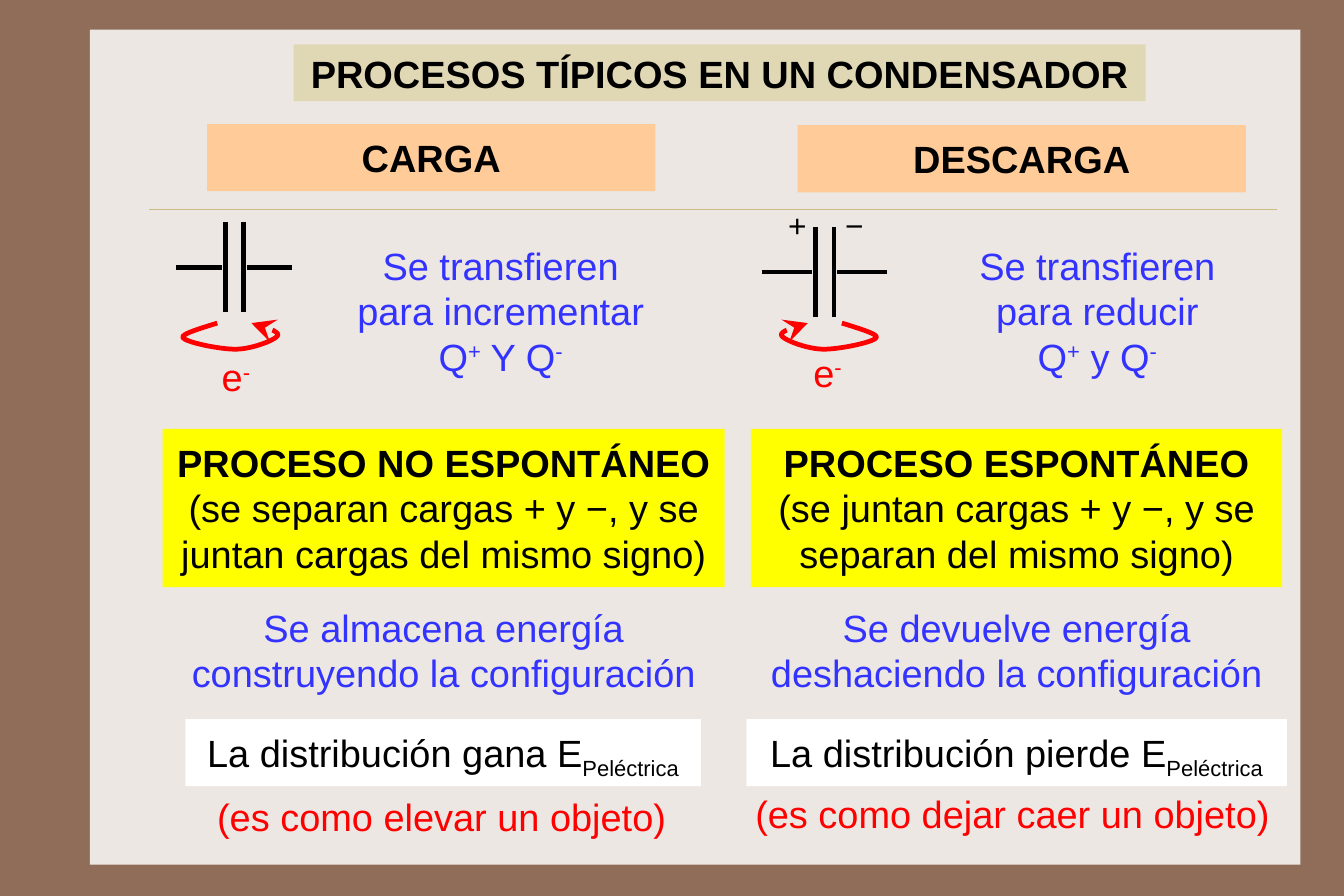
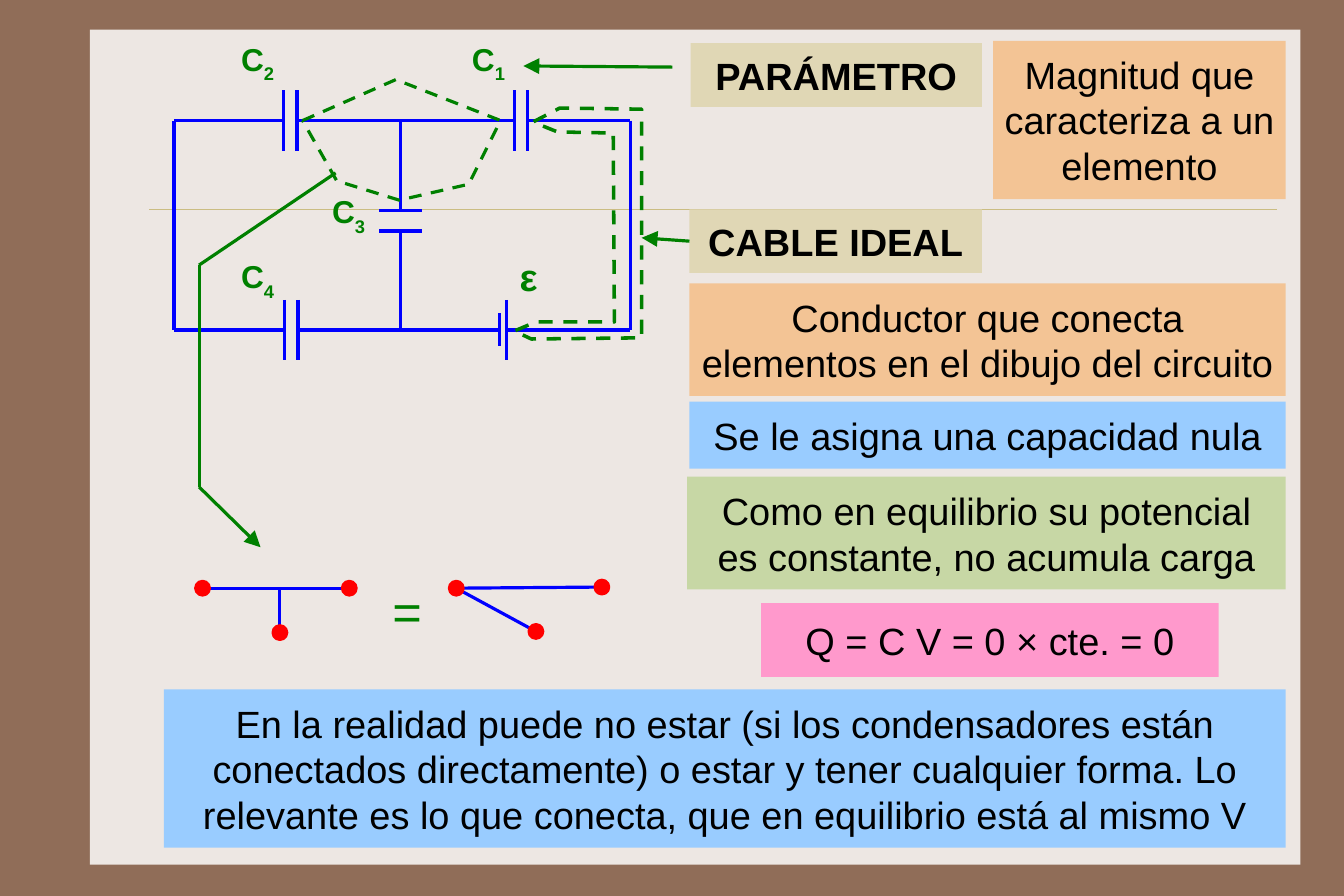
from dataclasses import dataclass

import lxml.etree
import pptx
import pptx.dml.color
import pptx.enum.dml
import pptx.enum.shapes
import pptx.enum.text
import pptx.oxml.ns
import pptx.util

# The slide is a grid of square cells; every length below counts columns or rows.
CELL = pptx.util.Inches(0.1)
SLIDE_WIDTH, SLIDE_HEIGHT = pptx.util.Pt(850.5), pptx.util.Pt(567)
SHAPE = pptx.enum.shapes.MSO_SHAPE
ALIGN = pptx.enum.text.PP_ALIGN
ANCHOR = pptx.enum.text.MSO_ANCHOR


@dataclass(frozen=True)
class Theme:
    font: str = "Arial"
    size: int = 24
    label_size: int = 20
    equals_size: int = 32
    frame: str = "906D58"
    panel: str = "EDE7E3"
    rule: str = "CBBD83"
    band: str = "E0D7B5"
    header: str = "FFCC99"
    yellow: str = "FFFF00"
    white: str = "FFFFFF"
    orange: str = "F3C495"
    sky: str = "99CCFF"
    sage: str = "C7D7A5"
    pink: str = "FF99CC"
    ink: str = "000000"
    violet: str = "3333FF"
    red: str = "FF0000"
    wire: str = "0000FF"
    green: str = "008000"


THEME = Theme()


@dataclass(frozen=True)
class Process:
    """One column of the first slide; spans are (left column, width)."""
    name: str
    header: tuple
    header_top: float
    transfer: tuple
    transfer_verb: str
    conjunction: str
    kind: str
    kind_detail: str
    kind_span: tuple
    energy: str
    energy_span: tuple
    balance: str
    balance_span: tuple
    analogy: str
    analogy_box: tuple
    capacitor: tuple
    lead: float
    electron: tuple
    direction: int


PROCESSES = (
    Process("CARGA", (18.2, 39.4), 10.9, (28.4, 31.2), "para incrementar", "Y",
            "PROCESO NO ESPONTÁNEO",
            "(se separan cargas + y −, y se juntan cargas del mismo signo)", (14.3, 49.4),
            "Se almacena energía construyendo la configuración", (15, 48),
            "La distribución gana E", (16.3, 45.3),
            "(es como elevar un objeto)", (18.1, 69.3, 41.9, 5),
            (20.6, 23.5), 5.1, (18.5, 30.2, 4.1, 5.1), 1),
    Process("DESCARGA", (70.1, 39.4), 11, (78.6, 35.7), "para reducir", "y",
            "PROCESO ESPONTÁNEO",
            "(se juntan cargas + y −, y se separan del mismo signo)", (66, 46.7),
            "Se devuelve energía deshaciendo la configuración", (65.6, 47.5),
            "La distribución pierde E", (65.6, 47.5),
            "(es como dejar caer un objeto)", (65.4, 69, 47.7, 5),
            (72.5, 23.9), 5.5, (70.5, 29.8, 4.1, 5.1), -1),
)


# Basic measures and styles
def cells(*counts):
    return [pptx.util.Emu(round(count * CELL)) for count in counts]


def rgb(value):
    return pptx.dml.color.RGBColor.from_string(value)


def style_line(shape, color, width, dashed=False, arrow=None):
    shape.line.color.rgb = rgb(color)
    shape.line.width = pptx.util.Pt(width)
    if dashed:
        shape.line.dash_style = pptx.enum.dml.MSO_LINE.DASH
    if arrow:
        outline = shape.element.spPr.get_or_add_ln()
        lxml.etree.SubElement(outline, pptx.oxml.ns.qn("a:tailEnd"),
                              type=arrow, w="lg", len="lg")


# Text
def write(shape, paragraphs, color=THEME.ink, size=THEME.size, bold=False, align=ALIGN.CENTER,
          anchor=ANCHOR.TOP, inset=(1, 0.9), wrap=True):
    """Each paragraph is a string or a list of strings and (text, baseline %) pairs.

    bold is True, False, or "first" for the first paragraph only.
    """
    frame = shape.text_frame
    frame.auto_size = pptx.enum.text.MSO_AUTO_SIZE.NONE
    frame.word_wrap = wrap
    frame.vertical_anchor = anchor
    frame.margin_left = frame.margin_right = cells(inset[0])[0]
    frame.margin_top = frame.margin_bottom = cells(inset[1])[0]
    for index, content in enumerate(paragraphs):
        paragraph = frame.add_paragraph() if index else frame.paragraphs[0]
        paragraph.alignment = align
        font = paragraph.font
        font.name, font.size = THEME.font, pptx.util.Pt(size)
        font.bold = index == 0 if bold == "first" else bold
        font.color.rgb = rgb(color)
        for piece in [content] if isinstance(content, str) else content:
            text, baseline = (piece, 0) if isinstance(piece, str) else piece
            run = paragraph.add_run()
            run.text = text
            if baseline:
                run._r.get_or_add_rPr().set("baseline", str(baseline * 1000))


def add_label(slide, box, paragraphs, **style):
    write(slide.shapes.add_textbox(*cells(*box)), paragraphs, **style)


def add_block(slide, box, fill, paragraphs=(), kind=SHAPE.RECTANGLE, **style):
    block = slide.shapes.add_shape(kind, *cells(*box))
    block.shadow.inherit = False
    block.fill.solid()
    block.fill.fore_color.rgb = rgb(fill)
    block.line.fill.background()
    if paragraphs:
        write(block, paragraphs, **style)
    return block


def add_title(slide, box, text, **style):
    title = slide.shapes.title
    title.left, title.top, title.width, title.height = cells(*box)
    title.fill.solid()
    title.fill.fore_color.rgb = rgb(THEME.band)
    write(title, [text], bold=True, anchor=ANCHOR.MIDDLE, **style)


# Lines
def add_line(slide, start, end, color=THEME.wire, width=2, arrow=None):
    line = slide.shapes.add_connector(
        pptx.enum.shapes.MSO_CONNECTOR.STRAIGHT, *cells(*start, *end))
    style_line(line, color, width, arrow=arrow)
    lxml.etree.SubElement(line.element.spPr, pptx.oxml.ns.qn("a:effectLst"))
    return line


def add_outline(slide, points, color, width, close=False, dashed=False, arrow=None):
    first, *rest = [cells(*point) for point in points]
    builder = slide.shapes.build_freeform(*first, scale=1.0)
    builder.add_line_segments(rest, close=close)
    outline = builder.convert_to_shape()
    outline.shadow.inherit = False
    outline.fill.background()
    style_line(outline, color, width, dashed, arrow)


def add_plates(slide, center, gap, lengths, upright=True, **style):
    x, y = center
    for side, length in zip((-0.5, 0.5), lengths):
        shift, half = side * gap, length / 2
        if upright:
            add_line(slide, (x + shift, y - half), (x + shift, y + half), **style)
        else:
            add_line(slide, (x - half, y + shift), (x + half, y + shift), **style)


def bezier(start, segments, steps=12):
    points = [start]
    for first, second, end in segments:
        for step in range(1, steps + 1):
            t = step / steps
            weights = ((1 - t) ** 3, 3 * t * (1 - t) ** 2, 3 * t * t * (1 - t), t ** 3)
            points.append(tuple(
                sum(w * p[axis] for w, p in zip(weights, (start, first, second, end)))
                for axis in (0, 1)))
        start = end
    return points


def add_electron_arrow(slide, center, direction, top=28.4):
    curve = bezier((-1.5, 0), (
        ((-3.1, 0.5), (-4.8, 1), (-4.5, 1.3)),
        ((-4.2, 1.7), (-1.3, 2.3), (0.1, 2.3)),
        ((1.5, 2.3), (3.6, 1.5), (3.8, 1.1)),
        ((4, 0.7), (2.7, 0.4), (1.5, 0))))
    add_outline(slide, [(center + direction * x, top + y) for x, y in curve],
                THEME.red, 3, arrow="stealth")


# Frame shared by both slides
def decorate_master(master, slide):
    master.background.fill.solid()
    master.background.fill.fore_color.rgb = rgb(THEME.frame)
    panel = add_block(slide, (7.9, 2.6, 106.4, 73.4), THEME.panel)
    rule = add_line(slide, (13.1, 18.4), (112.2, 18.4), THEME.rule, 0.25)
    for position, part in enumerate((panel, rule), start=2):
        master.shapes.element.insert(position, part.element)


# Slide 1: charge and discharge side by side
def add_process(slide, process):
    def row(span, top, height):
        return span[0], top, span[1], height

    add_block(slide, row(process.header, process.header_top, 5.9), THEME.header,
              [process.name], bold=True)
    add_label(slide, row(process.transfer, 20.4, 13.9),
              ["Se transfieren", process.transfer_verb,
               ["Q", ("+", 30), f" {process.conjunction} Q", ("-", 30)]], color=THEME.violet)
    add_block(slide, row(process.kind_span, 37.7, 13.9), THEME.yellow,
              [process.kind, process.kind_detail], bold="first")
    add_label(slide, row(process.energy_span, 52.2, 9.9), [process.energy], color=THEME.violet)
    add_block(slide, row(process.balance_span, 63.2, 5.9), THEME.white,
              [[process.balance, ("Peléctrica", -25)]])
    add_label(slide, process.analogy_box, [process.analogy], color=THEME.red,
              align=ALIGN.LEFT, inset=(1, 0.5), wrap=False)

    # Capacitor with its leads and the electron flow
    x, y = process.capacitor
    ink = dict(color=THEME.ink, width=3)
    add_plates(slide, (x, y), 1.6, (7.9, 7.9), **ink)
    for side in (-1, 1):
        add_line(slide, (x + side * process.lead, y), (x + side * 1.1, y), **ink)
    add_electron_arrow(slide, x, process.direction)
    add_label(slide, process.electron, [["e", ("-", 30)]], color=THEME.red,
              align=ALIGN.LEFT, wrap=False)


def build_processes(slide):
    add_title(slide, (25.8, 3.9, 74.9, 5), "PROCESOS TÍPICOS EN UN CONDENSADOR",
              inset=(1, 0.5))
    for process in PROCESSES:
        add_process(slide, process)
    for left, sign in ((68.3, "+"), (73.3, "−")):
        add_label(slide, (left, 17.2, 3.6, 5.1), [sign], size=THEME.label_size,
                  align=ALIGN.LEFT, wrap=False)


# Slide 2: circuit with its vocabulary
def add_circuit(slide):
    left, middle, right, top, bottom = 15.3, 35.2, 55.4, 10.6, 29
    for start, end in (
            ((left, top), (24.9, top)), ((26.1, top), (45.2, top)), ((46.4, top), (right, top)),
            ((left, bottom), (25, bottom)), ((26.2, bottom), (43.9, bottom)),
            ((44.5, bottom), (right, bottom)),
            ((left, top), (left, bottom)), ((right, top), (right, bottom)),
            ((middle, top), (middle, 18.5)), ((middle, 20.3), (middle, bottom))):
        add_line(slide, start, end)
    for center in ((25.5, top), (45.8, top), (25.6, bottom)):
        add_plates(slide, center, 1.2, (5.3, 5.3))
    add_plates(slide, (middle, 19.4), 1.8, (3.7, 3.7), upright=False)
    add_plates(slide, (44.2, bottom), 0.6, (2.9, 5.3))

    green = dict(color=THEME.green, bold=True, align=ALIGN.LEFT, inset=(1, 0.5))
    for number, x, y in (("2", 20.2, 3), ("1", 40.5, 3), ("3", 28.2, 16.4), ("4", 20.2, 22.1)):
        add_label(slide, (x, y, 5.5, 5.4), [["C", (number, -30)]],
                  size=THEME.label_size, **green)
    add_label(slide, (44.7, 22.3, 3.7, 4), ["ε"], anchor=ANCHOR.MIDDLE, **green)

    # Dashed outlines around ideal cables
    add_outline(slide, ((26.6, 10.6), (34.8, 7), (44, 10.6), (41.2, 16.2), (35.1, 17.6),
                        (29.6, 15.9)), THEME.green, 2, close=True, dashed=True)
    add_outline(slide, ((46.9, 10.7), (49.2, 9.5), (56.4, 9.6), (56.4, 29.7), (46.7, 29.8),
                        (45.2, 29.1), (47.1, 28.3), (54, 28.3), (53.9, 11.7), (49, 11.6),
                        (47.5, 11)), THEME.green, 2.25, dashed=True)


def add_node_graph(slide, wires, nodes):
    for start, end in wires:
        add_line(slide, start, end)
    for x, y in nodes:
        node = add_block(slide, (x - 0.6, y - 0.6, 1.2, 1.2), THEME.red, kind=SHAPE.OVAL)
        style_line(node, THEME.red, 2)


def add_equivalence(slide):
    bend = ((29.5, 15.2), (17.5, 23.3), (17.5, 42.8), (22.9, 48.1))
    for index, (start, end) in enumerate(zip(bend, bend[1:])):
        add_line(slide, start, end, THEME.green, arrow="triangle" if index == 2 else None)
    west, east, south = (17.8, 51.7), (30.7, 51.7), (24.6, 55.6)
    add_node_graph(slide, ((west, east), ((24.6, 51.7), south)), (west, east, south))
    add_label(slide, (33.5, 50.1, 4.6, 7.2), ["="], color=THEME.green,
              size=THEME.equals_size, align=ALIGN.LEFT, wrap=False)
    west, east, south = (40.1, 51.7), (52.9, 51.6), (47.1, 55.5)
    add_node_graph(slide, ((west, east), (west, south)), (west, east, south))


def build_circuit(slide):
    add_title(slide, (60.7, 3.8, 25.6, 5.6), "PARÁMETRO", inset=(1.2, 0.8))
    add_circuit(slide)
    add_equivalence(slide)
    add_block(slide, (87.3, 3.6, 25.7, 13.9), THEME.orange,
              ["Magnitud que caracteriza a un elemento"], inset=(0.8, 0.9))
    cable = add_block(slide, (60.6, 18.4, 25.7, 5.6), THEME.band, ["CABLE IDEAL"],
                      bold=True, anchor=ANCHOR.MIDDLE, inset=(1.2, 0.8))
    for box, fill, text in (
            ((60.6, 24.9, 52.4, 9.9), THEME.orange,
             "Conductor que conecta elementos en el dibujo del circuito"),
            ((60.6, 35.3, 52.4, 5.9), THEME.sky, "Se le asigna una capacidad nula"),
            ((60.4, 41.9, 52.6, 9.9), THEME.sage,
             "Como en equilibrio su potencial es constante, no acumula carga"),
            ((66.9, 53, 40.2, 6.5), THEME.pink, "Q = C V = 0 × cte. = 0"),
            ((14.4, 60.6, 98.6, 13.9), THEME.sky,
             "En la realidad puede no estar (si los condensadores están conectados "
             "directamente) o estar y tener cualquier forma. Lo relevante es lo que conecta, "
             "que en equilibrio está al mismo V")):
        add_block(slide, box, fill, [text], anchor=ANCHOR.MIDDLE)

    # Arrows from the terms to the circuit
    add_line(slide, (59.1, 5.9), (46, 5.8), THEME.green, arrow="triangle")
    pointer = add_line(slide, (60.6, 21.2), (56.4, 20.9), THEME.green, arrow="triangle")
    pointer.begin_connect(cable, 1)


def main():
    deck = pptx.Presentation()
    deck.slide_width, deck.slide_height = SLIDE_WIDTH, SLIDE_HEIGHT
    title_only = deck.slide_layouts[5]
    processes, circuit = (deck.slides.add_slide(title_only) for _ in range(2))
    decorate_master(deck.slide_master, processes)
    build_processes(processes)
    build_circuit(circuit)
    deck.save("out.pptx")


if __name__ == "__main__":
    main()
